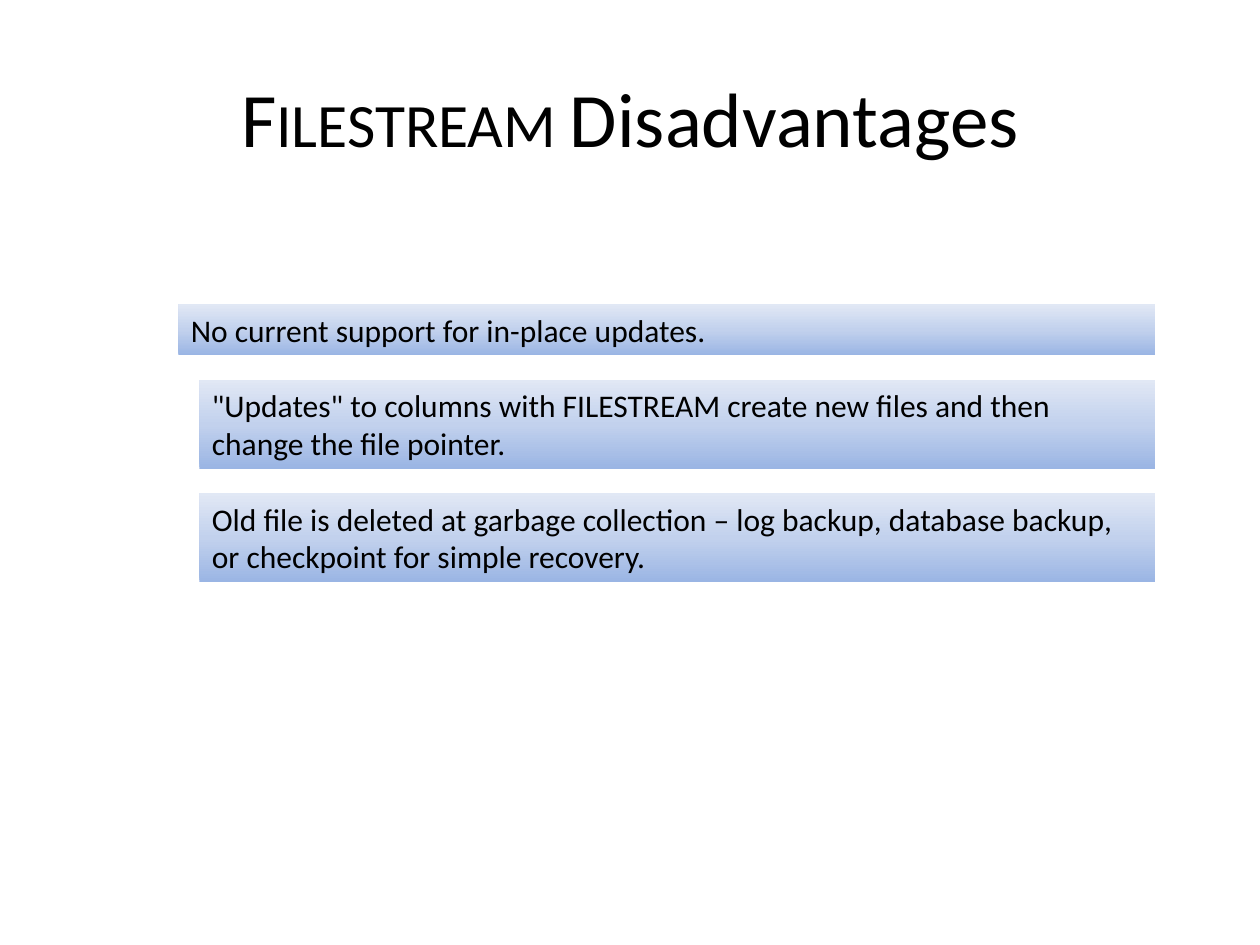
from copy import deepcopy

from pptx import Presentation
from pptx.dml.color import RGBColor
from pptx.enum.shapes import MSO_SHAPE
from pptx.enum.text import MSO_ANCHOR, PP_ALIGN
from pptx.oxml.ns import qn
from pptx.util import Pt


def colour(hex_code):
    return RGBColor.from_string(hex_code)


def write(paragraph, text, size=18, small_caps=False, align=PP_ALIGN.LEFT):
    paragraph.alignment = align
    run = paragraph.add_run()
    run.text = text
    run.font.name = "Calibri"
    run.font.size = Pt(size)
    run.font.color.rgb = colour("000000")
    if small_caps:
        run.font._element.set("cap", "small")


deck = Presentation()
deck.slide_width, deck.slide_height = Pt(720), Pt(540)
slide = deck.slides.add_slide(deck.slide_layouts[5])

title = slide.shapes.title
title.left, title.top, title.width, title.height = Pt(36), Pt(21.6), Pt(648), Pt(90)
title.text_frame.vertical_anchor = MSO_ANCHOR.MIDDLE
heading = title.text_frame.paragraphs[0]
write(heading, "Filestream ", size=44, small_caps=True, align=PP_ALIGN.CENTER)
write(heading, "Disadvantages", size=44, align=PP_ALIGN.CENTER)

disadvantages = [
    (102, 29.08, "No current support for in-place updates."),
    (114, 50.9, '"Updates" to columns with FILESTREAM create new files and then change the file pointer.'),
    (114, 50.9, "Old file is deleted at garbage collection – log backup, database backup, or checkpoint for simple recovery."),
]
gradient = [(0, "9AB5E4"), (0.5, "C2D1ED"), (1, "E1E8F5")]
right_edge, gap = 660, 14
top = 174

for left, height, text in disadvantages:
    bar = slide.shapes.add_shape(
        MSO_SHAPE.RECTANGLE, Pt(left), Pt(top), Pt(right_edge - left), Pt(height))
    bar.shadow.inherit = False
    bar.line.fill.background()
    bar.fill.gradient()
    bar.fill.gradient_angle = 90
    stop_list = bar.element.spPr.find(qn("a:gradFill")).find(qn("a:gsLst"))
    stop_list.append(deepcopy(stop_list[-1]))
    for stop, (position, shade) in zip(bar.fill.gradient_stops, gradient):
        stop.position = position
        stop.color.rgb = colour(shade)
    bar.text_frame.word_wrap = True
    bar.text_frame.vertical_anchor = MSO_ANCHOR.TOP
    write(bar.text_frame.paragraphs[0], text)
    top += height + gap

deck.save("out.pptx")
